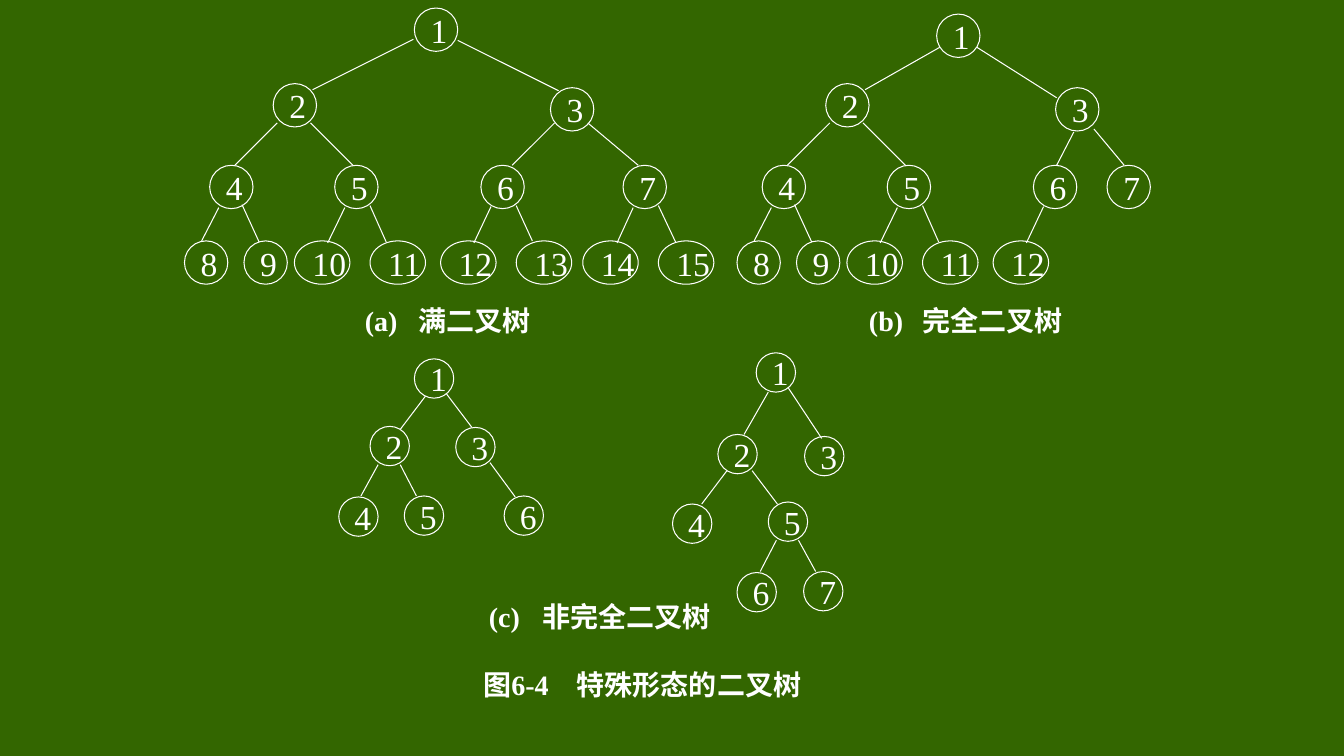
"""Build the slide of full, complete and non-complete binary trees."""
from lxml import etree
from pptx import Presentation
from pptx import util as u
from pptx.dml.color import RGBColor
from pptx.enum import shapes, text
from pptx.oxml.ns import qn

GREEN, WHITE = "336600", "FFFFFF"
SERIF, SANS, CJK = "Times New Roman", "Arial", "Noto Sans CJK SC"
TAB_STOP = 0.53
BRANCH_SHIFT = 5.48

# label, (left, top), edge from parent (x1, y1, x2, y2)
LEFT_BRANCH = [
    ("4", (2.08, 1.64), (2.75, 1.22, 2.33, 1.64)),
    ("5", (3.32, 1.64), (3.08, 1.22, 3.5, 1.64)),
    ("8", (1.83, 2.39), (2.17, 2.06, 2, 2.39)),
    ("9", (2.42, 2.39), (2.4, 2.03, 2.57, 2.4)),
    ("10", (2.92, 2.39), (3.42, 2.06, 3.25, 2.41)),
    ("11", (3.67, 2.39), (3.67, 2.04, 3.83, 2.4)),
    ("12", (4.37, 2.39), (4.87, 2.05, 4.7, 2.41)),
]
FULL_TREE = [
    ("1", (4.11, 0.08), None),
    ("2", (2.71, 0.83), (4.1, 0.39, 3.1, 0.89)),
    ("3", (5.46, 0.87), (4.54, 0.4, 5.54, 0.9)),
    ("6", (4.77, 1.64), (5.5, 1.22, 5.08, 1.64)),
    ("7", (6.18, 1.64), (5.83, 1.22, 6.33, 1.64)),
    ("13", (5.12, 2.39), (5.12, 2.04, 5.28, 2.39)),
    ("14", (5.78, 2.39), (6.28, 2.06, 6.12, 2.41)),
    ("15", (6.53, 2.39), (6.53, 2.04, 6.7, 2.4)),
]
COMPLETE_TREE = [
    ("1", (9.29, 0.14), None),
    ("2", (8.19, 0.83), (9.32, 0.47, 8.58, 0.89)),
    ("3", (10.47, 0.87), (9.69, 0.47, 10.48, 0.97)),
    ("6", (10.25, 1.64), (10.65, 1.31, 10.48, 1.64)),
    ("7", (10.98, 1.64), (10.85, 1.28, 11.15, 1.64)),
]
SIX_NODE_TREE = [
    ("1", (4.11, 3.56), None),
    ("2", (3.67, 4.23), (4.22, 3.93, 3.97, 4.26)),
    ("3", (4.52, 4.24), (4.43, 3.91, 4.68, 4.24)),
    ("4", (3.36, 4.93), (3.75, 4.61, 3.58, 4.92)),
    ("5", (4.01, 4.92), (3.97, 4.61, 4.13, 4.92)),
    ("6", (5, 4.92), (4.86, 4.59, 5.11, 4.93)),
]
SEVEN_NODE_TREE = [
    ("1", (7.5, 3.5), None),
    ("2", (7.12, 4.31), (7.62, 3.89, 7.38, 4.31)),
    ("3", (7.98, 4.33), (7.82, 3.85, 8.15, 4.35)),
    ("4", (6.67, 5), (7.21, 4.67, 6.96, 5)),
    ("5", (7.62, 4.98), (7.46, 4.67, 7.71, 5)),
    ("6", (7.31, 5.68), (7.7, 5.36, 7.54, 5.67)),
    ("7", (7.97, 5.67), (7.92, 5.36, 8.09, 5.67)),
]
# nodes, node size, horizontal shift
TREES = [
    (LEFT_BRANCH, 0.43, 0),
    (FULL_TREE, 0.43, 0),
    (LEFT_BRANCH, 0.43, BRANCH_SHIFT),
    (COMPLETE_TREE, 0.43, 0),
    (SIX_NODE_TREE, 0.39, 0),
    (SEVEN_NODE_TREE, 0.39, 0),
]
CAPTIONS = [
    ("(a)\t满二叉树", (3.52, 3, 1.85, 0.35)),
    ("(b)\t完全二叉树", (8.52, 3, 2.1, 0.35)),
    ("(c)\t非完全二叉树", (4.75, 5.92, 2.35, 0.39)),
]
TITLE = [("图", SANS), ("6-4　特殊形态的", SERIF), ("二叉", CJK), ("树", SANS)]
TITLE_BOX = (4.67, 6.58, 3.4, 0.42)


def color(hex_code):
    return RGBColor.from_string(hex_code)


def inches(values):
    return [u.Inches(value) for value in values]


def style(run, size, font=SERIF, bold=False):
    run.font.name, run.font.size, run.font.bold = font, u.Pt(size), bold
    run.font.color.rgb = color(WHITE)


def white_line(line):
    line.color.rgb = color(WHITE)
    line.width = u.Pt(0.75)


def add_node(slide, label, left, top, size):
    width = 0.55 if len(label) > 1 else size
    node = slide.shapes.add_shape(
        shapes.MSO_SHAPE.OVAL, *inches((left, top, width, size)))
    node.shadow.inherit = False
    node.fill.background()
    white_line(node.line)
    frame = node.text_frame
    frame.text = label
    frame.word_wrap = False
    frame.vertical_anchor = text.MSO_ANCHOR.MIDDLE
    frame.paragraphs[0].alignment = text.PP_ALIGN.LEFT
    style(frame.paragraphs[0].runs[0], 24)


def add_edge(slide, ends):
    edge = slide.shapes.add_connector(
        shapes.MSO_CONNECTOR.STRAIGHT, *inches(ends))
    white_line(edge.line)
    etree.SubElement(edge._element.spPr, qn("a:effectLst"))


def add_text(slide, box, right_margin):
    frame = slide.shapes.add_textbox(*inches(box)).text_frame
    frame.word_wrap = True
    frame.margin_right = u.Inches(right_margin)
    frame.vertical_anchor = text.MSO_ANCHOR.MIDDLE
    return frame.paragraphs[0]


def main():
    deck = Presentation()
    deck.slide_width, deck.slide_height = inches((13.33, 7.5))
    slide = deck.slides.add_slide(deck.slide_layouts[6])
    slide.background.fill.solid()
    slide.background.fill.fore_color.rgb = color(GREEN)

    for nodes, size, shift in TREES:
        for label, (left, top), edge in nodes:
            add_node(slide, label, left + shift, top, size)
            if edge:
                x1, y1, x2, y2 = edge
                add_edge(slide, (x1 + shift, y1, x2 + shift, y2))

    for words, box in CAPTIONS:
        caption = add_text(slide, box, 0)
        tabs = etree.SubElement(caption._p.get_or_add_pPr(), qn("a:tabLst"))
        etree.SubElement(tabs, qn("a:tab"),
                         pos=str(u.Inches(TAB_STOP)), algn="l")
        caption.text = words
        for run in caption.runs:
            style(run, 20, bold=True)

    title = add_text(slide, TITLE_BOX, 0.1)
    title.alignment = text.PP_ALIGN.CENTER
    for words, font in TITLE:
        run = title.add_run()
        run.text = words
        style(run, 20, font, True)

    deck.save("out.pptx")


if __name__ == "__main__":
    main()
